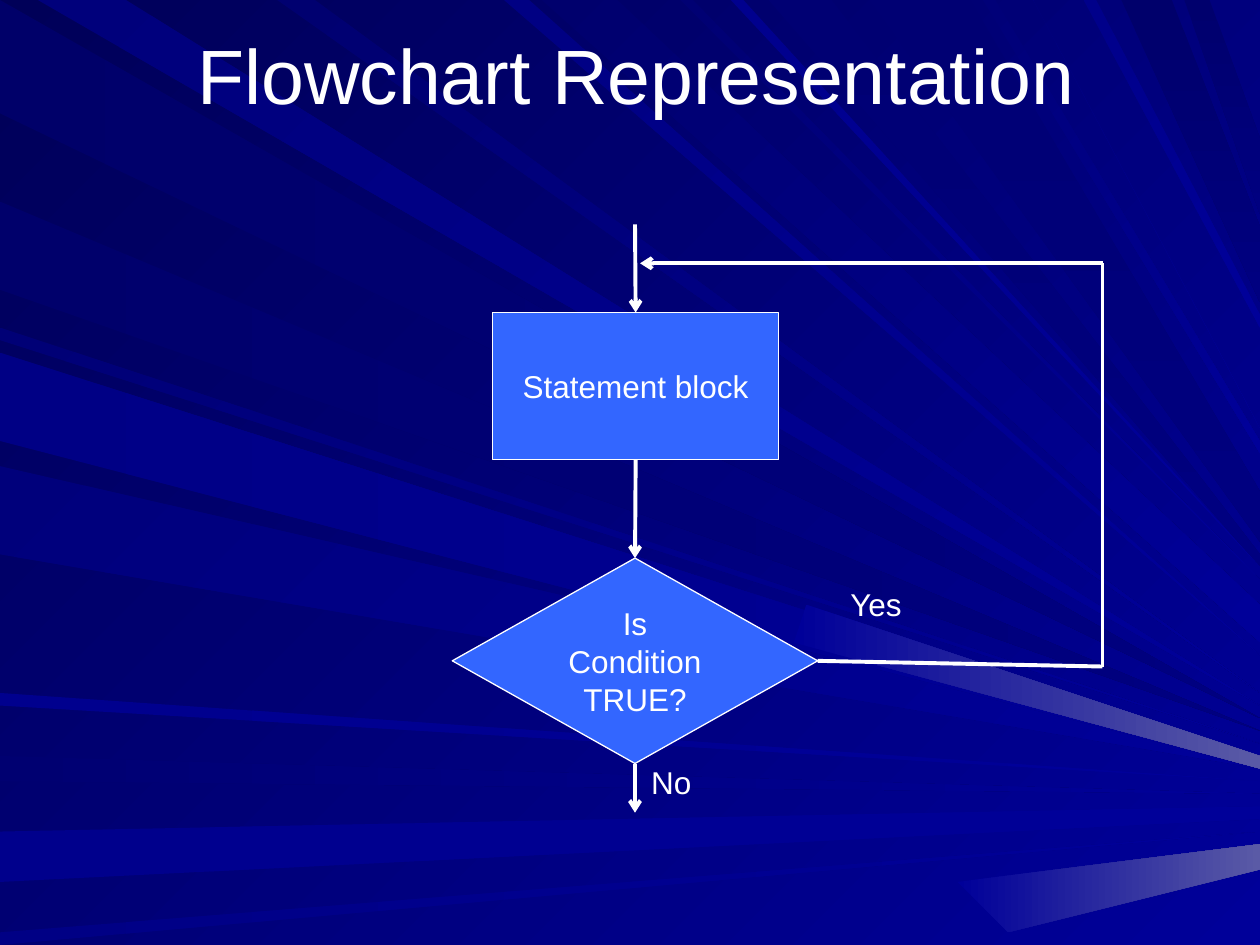
import dataclasses
import typing

import pptx
import pptx.dml.color
import pptx.enum.shapes
import pptx.enum.text
import pptx.oxml.ns
import pptx.util
from lxml import etree

COLS, ROWS = 100, 75
CELL = pptx.util.Inches(10) // COLS
WHITE, BLUE = "FFFFFF", "3366FF"
DARK, DEEP, ROYAL, FLARE = "000058", "000080", "000099", "5A5AA6"
UP, DOWN, EAST = 0, 2, 3

Kind = pptx.enum.shapes.MSO_SHAPE
Align = pptx.enum.text.PP_ALIGN
Anchor = pptx.enum.text.MSO_ANCHOR
Point = tuple[float, float]
Area = tuple[float, float, float, float]


@dataclasses.dataclass
class Ray:
    """A beam from a stretch of the left or top edge to a row on the right edge."""
    first: float
    last: float
    goal: float
    start: str
    end: str = ROYAL
    angle: int = 45
    spread: float = 0.1


class Joint(typing.NamedTuple):
    node: str
    side: int


@dataclasses.dataclass
class Link:
    start: typing.Union[Point, Joint]
    end: typing.Union[Point, Joint]
    arrow: bool = True


LEFT_RAYS = [
    Ray(0.2, 9.3, 56.9, "000069", DEEP, 0),
    Ray(59.6, 62.3, 63.1, "000071", ROYAL, 0),
    Ray(66.5, 70.4, 64.3, "00008C", ROYAL, 0, 0.8),
    Ray(73.5, 75, 66.2, "000085", ROYAL, 0),
    Ray(25.8, 27, 58.9, "000076"),
    Ray(15.9, 22.8, 58.4, "00006B", DEEP, 0),
    Ray(27.8, 34.2, 59.6, "00007E", spread=0.6),
    Ray(37.4, 43.7, 60.5, "00007B"),
    Ray(55.2, 56, 62.1, "00008E", ROYAL, 0),
    Ray(28.3, 34.7, 60.1, "000085", ROYAL, 0, 0.5),
]
TOP_RAYS = [
    Ray(2.6, 10.1, 56.2, "00007B"),
    Ray(39.8, 41.6, 51.5, "000083", spread=0.6),
    Ray(42.6, 49.2, 47.9, "00006D", spread=2.8),
    Ray(54, 55.2, 46.3, "000073"),
    Ray(60.6, 66.1, 44.5, "000073", DEEP, 90),
    Ray(88.7, 93, 18.3, "00006B", DEEP, 90, 5.4),
    Ray(93.9, 96.4, 11.4, "00006D", DEEP, 90, 5.3),
    Ray(22.5, 24.7, 54.7, "000070", spread=0.5),
    Ray(57.7, 58.8, 45.3, "00008E"),
    Ray(68.6, 77, 39, "000073", DEEP, 90, 3.8),
    Ray(78.5, 79.2, 35.4, "000078", spread=0.6),
    Ray(81.5, 82.4, 33.5, "000085"),
    Ray(86.5, 87.2, 24.9, "00008A", spread=0.9),
]
FLARES = [
    [(63.7, 48.5), (COLS, 60.1), (COLS, 60.6), (63.3, 51.1)],
    [(75.6, 70.2), (COLS, 67.2), (COLS, 69.4), (80, 73.7)],
]

AXIS, RIGHT, TOP, LOW = 50.4, 87.5, 20.9, 52.9
LINKS = [
    Link((AXIS, 17.8), Joint("block", UP)),
    Link(Joint("block", DOWN), Joint("test", UP)),
    Link(Joint("test", DOWN), (AXIS, 64.5)),
    Link(Joint("test", EAST), (RIGHT, LOW), arrow=False),
    Link((RIGHT, LOW), (RIGHT, TOP), arrow=False),
    Link((RIGHT, TOP), (50.8, TOP)),
]


def grid(*cells: float) -> list[int]:
    return [round(cell * CELL) for cell in cells]


def rgb(color: str) -> pptx.dml.color.RGBColor:
    return pptx.dml.color.RGBColor.from_string(color)


def paint(fill, start: str, end: typing.Optional[str] = None, angle: int = 0) -> None:
    """Fill with one colour, or with a gradient turned clockwise by angle."""
    if end is None:
        fill.solid()
        fill.fore_color.rgb = rgb(start)
        return
    fill.gradient()
    fill.gradient_angle = (360 - angle) % 360
    for stop, color in zip(fill.gradient_stops, (start, end)):
        stop.color.rgb = rgb(color)


def write(shape, text: str, size: int = 18, align=Align.CENTER,
          anchor=Anchor.MIDDLE, wrap: bool = False) -> None:
    frame = shape.text_frame
    frame.text = text
    frame.word_wrap = wrap
    frame.vertical_anchor = anchor
    for par in frame.paragraphs:
        par.alignment = align
        par.font.name = "Arial"
        par.font.size = pptx.util.Pt(size)
        par.font.color.rgb = rgb(WHITE)


def draw_beam(shapes, points: list[Point], start: str, end: str, angle: int = 0) -> None:
    outline = shapes.build_freeform(*points[0], scale=CELL)
    outline.add_line_segments(points[1:], close=True)
    beam = outline.convert_to_shape()
    beam.shadow.inherit = False
    beam.line.fill.background()
    paint(beam.fill, start, end, angle)


def draw_ray(shapes, ray: Ray, top: bool) -> None:
    edge = [(ray.last, 0), (ray.first, 0)] if top else [(0, ray.first), (0, ray.last)]
    points = edge + [(COLS, ray.goal + ray.spread), (COLS, ray.goal)]
    draw_beam(shapes, points, ray.start, ray.end, ray.angle)


def draw_node(shapes, kind, area: Area, text: str):
    node = shapes.add_shape(kind, *grid(*area))
    node.shadow.inherit = False
    paint(node.fill, BLUE)
    paint(node.line.fill, WHITE)
    node.line.width = pptx.util.Pt(0.75)
    write(node, text)
    return node


def draw_label(shapes, area: Area, text: str) -> None:
    label = shapes.add_textbox(*grid(*area))
    write(label, text, align=Align.LEFT, anchor=Anchor.TOP)
    label.text_frame.auto_size = pptx.enum.text.MSO_AUTO_SIZE.SHAPE_TO_FIT_TEXT


def locate(spot: typing.Union[Point, Joint], nodes: dict) -> list[int]:
    """Give the place of a point, or of the middle of a node's side."""
    if not isinstance(spot, Joint):
        return grid(*spot)
    node = nodes[spot.node]
    across = node.width if spot.side == EAST else node.width // 2
    down = {UP: 0, DOWN: node.height, EAST: node.height // 2}[spot.side]
    return [node.left + across, node.top + down]


def draw_link(shapes, link: Link, nodes: dict) -> None:
    line = shapes.add_connector(pptx.enum.shapes.MSO_CONNECTOR.STRAIGHT,
                                *locate(link.start, nodes), *locate(link.end, nodes))
    for spot, join in ((link.start, line.begin_connect), (link.end, line.end_connect)):
        if isinstance(spot, Joint):
            join(nodes[spot.node], spot.side)
    paint(line.line.fill, WHITE)
    line.line.width = pptx.util.Pt(2.25)
    props = line._element.spPr
    if link.arrow:
        stroke = props.find(pptx.oxml.ns.qn("a:ln"))
        tail = etree.SubElement(stroke, pptx.oxml.ns.qn("a:tailEnd"))
        tail.set("type", "arrow")
    etree.SubElement(props, pptx.oxml.ns.qn("a:effectLst"))


def main() -> None:
    deck = pptx.Presentation()
    deck.slide_width, deck.slide_height = grid(COLS, ROWS)
    slide = deck.slides.add_slide(deck.slide_layouts[6])
    shapes = slide.shapes
    paint(slide.background.fill, DARK, ROYAL, 45)
    for rays, top in ((LEFT_RAYS, False), (TOP_RAYS, True)):
        for ray in rays:
            draw_ray(shapes, ray, top)
    for points in FLARES:
        draw_beam(shapes, points, ROYAL, FLARE)

    title = shapes.add_textbox(*grid(5.5, 0, 90, 11.7))
    write(title, "Flowchart Representation", size=44, wrap=True)

    nodes = {
        "test": draw_node(shapes, Kind.FLOWCHART_DECISION, (35.9, 44.3, 29, 16.3),
                          "Is\nCondition\nTRUE?"),
        "block": draw_node(shapes, Kind.RECTANGLE, (39.1, 24.8, 22.7, 11.7),
                           "Statement block"),
    }
    draw_label(shapes, (50.7, 60.1, 5.2, 4), "No")
    draw_label(shapes, (66.5, 45.9, 6.3, 4), "Yes")
    for link in LINKS:
        draw_link(shapes, link, nodes)
    deck.save("out.pptx")


if __name__ == "__main__":
    main()
